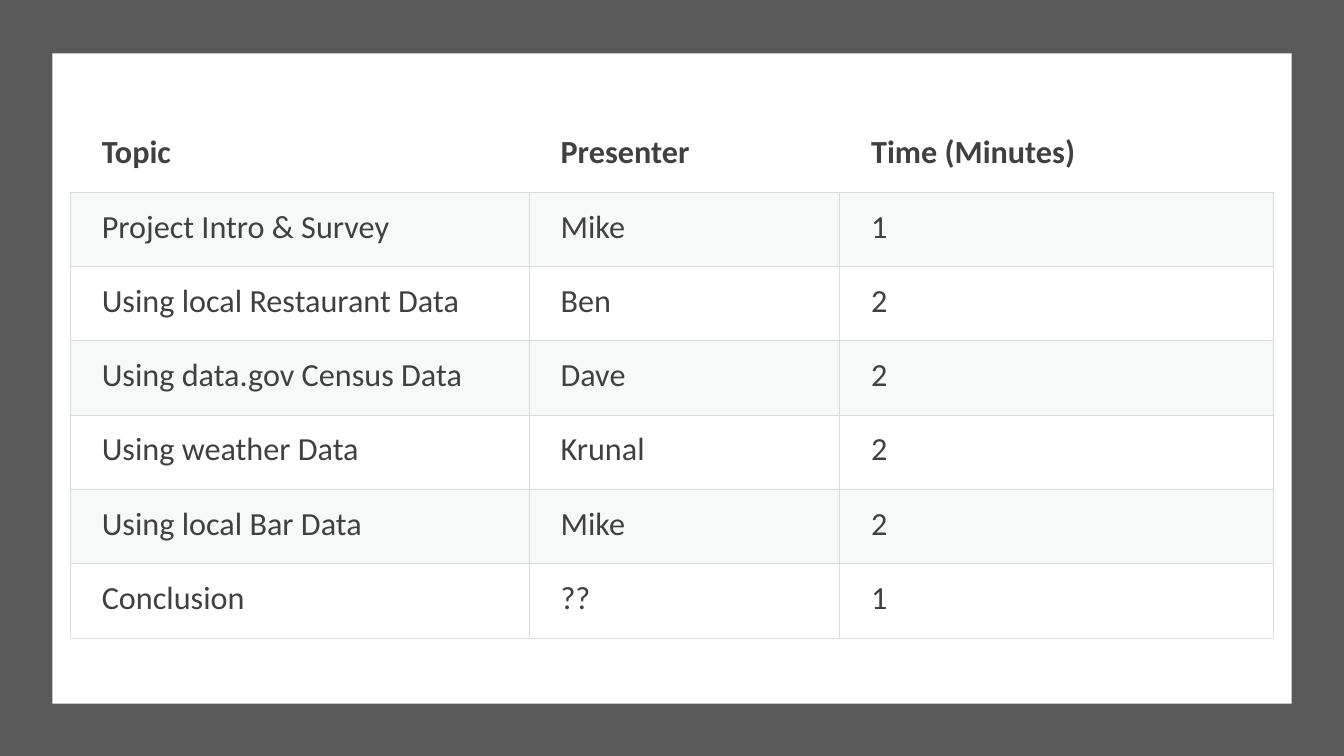
from lxml.etree import SubElement
from pptx import Presentation
from pptx.dml.color import RGBColor
from pptx.enum.shapes import MSO_SHAPE
from pptx.oxml.ns import qn
from pptx.util import Inches, Pt

GREY = RGBColor(0x59, 0x59, 0x59)
WHITE = RGBColor(0xFF, 0xFF, 0xFF)
INK = RGBColor(0x40, 0x40, 0x40)
RULE = RGBColor(0xD8, 0xDC, 0xDC)
BAND = RGBColor(0xD8, 0xDE, 0xDC)

AGENDA = [
    ("Topic", "Presenter", "Time (Minutes)"),
    ("Project Intro & Survey", "Mike", "1"),
    ("Using local Restaurant Data", "Ben", "2"),
    ("Using data.gov Census Data", "Dave", "2"),
    ("Using weather Data", "Krunal", "2"),
    ("Using local Bar Data", "Mike", "2"),
    ("Conclusion", "??", "1"),
]
COLUMN_WIDTHS = [4.55, 3.08, 4.3]
ROW_HEIGHT = 5.16 / len(AGENDA)
MARGINS = {"margin_left": 0.31, "margin_top": 0.15,
           "margin_right": 0.15, "margin_bottom": 0.15}


def draw_borders(cell, sides):
    properties = cell._tc.get_or_add_tcPr()
    for side in sides:
        line = SubElement(properties, qn(f"a:ln{side}"), w=str(Pt(0.75)))
        fill = SubElement(line, qn("a:solidFill"))
        SubElement(fill, qn("a:srgbClr"), val=str(RULE))


deck = Presentation()
deck.slide_width, deck.slide_height = Inches(13.33), Inches(7.5)
page = deck.slides.add_slide(deck.slide_layouts[6])

# Grey frame with a white panel on it
panels = [
    (GREY, (0, 0, deck.slide_width, deck.slide_height)),
    (WHITE, (Inches(0.52), Inches(0.53), Inches(12.29), Inches(6.45))),
]
for color, area in panels:
    panel = page.shapes.add_shape(MSO_SHAPE.RECTANGLE, *area)
    panel.shadow.inherit = False
    panel.fill.solid()
    panel.fill.fore_color.rgb = color
    panel.line.fill.background()

# Agenda table
table = page.shapes.add_table(
    len(AGENDA), len(COLUMN_WIDTHS), Inches(0.7), Inches(1.17),
    Inches(sum(COLUMN_WIDTHS)), Inches(ROW_HEIGHT * len(AGENDA))).table
table.first_row = False
table.horz_banding = False
for column, width in zip(table.columns, COLUMN_WIDTHS):
    column.width = Inches(width)

for row_index, entries in enumerate(AGENDA):
    is_header = row_index == 0
    table.rows[row_index].height = Inches(ROW_HEIGHT)
    for column_index, entry in enumerate(entries):
        cell = table.cell(row_index, column_index)
        for name, margin in MARGINS.items():
            setattr(cell, name, Inches(margin))
        draw_borders(cell, "B" if is_header else "LRTB")
        if row_index % 2:
            cell.fill.solid()
            cell.fill.fore_color.rgb = BAND
            tint = cell._tc.tcPr.find(qn("a:solidFill")).find(qn("a:srgbClr"))
            SubElement(tint, qn("a:alpha"), val="20000")
        else:
            cell.fill.background()
        span = cell.text_frame.paragraphs[0].add_run()
        span.text = entry
        style = {"name": "Calibri", "size": Pt(23), "bold": is_header}
        for name, value in style.items():
            setattr(span.font, name, value)
        span.font.color.rgb = INK

deck.save("out.pptx")
